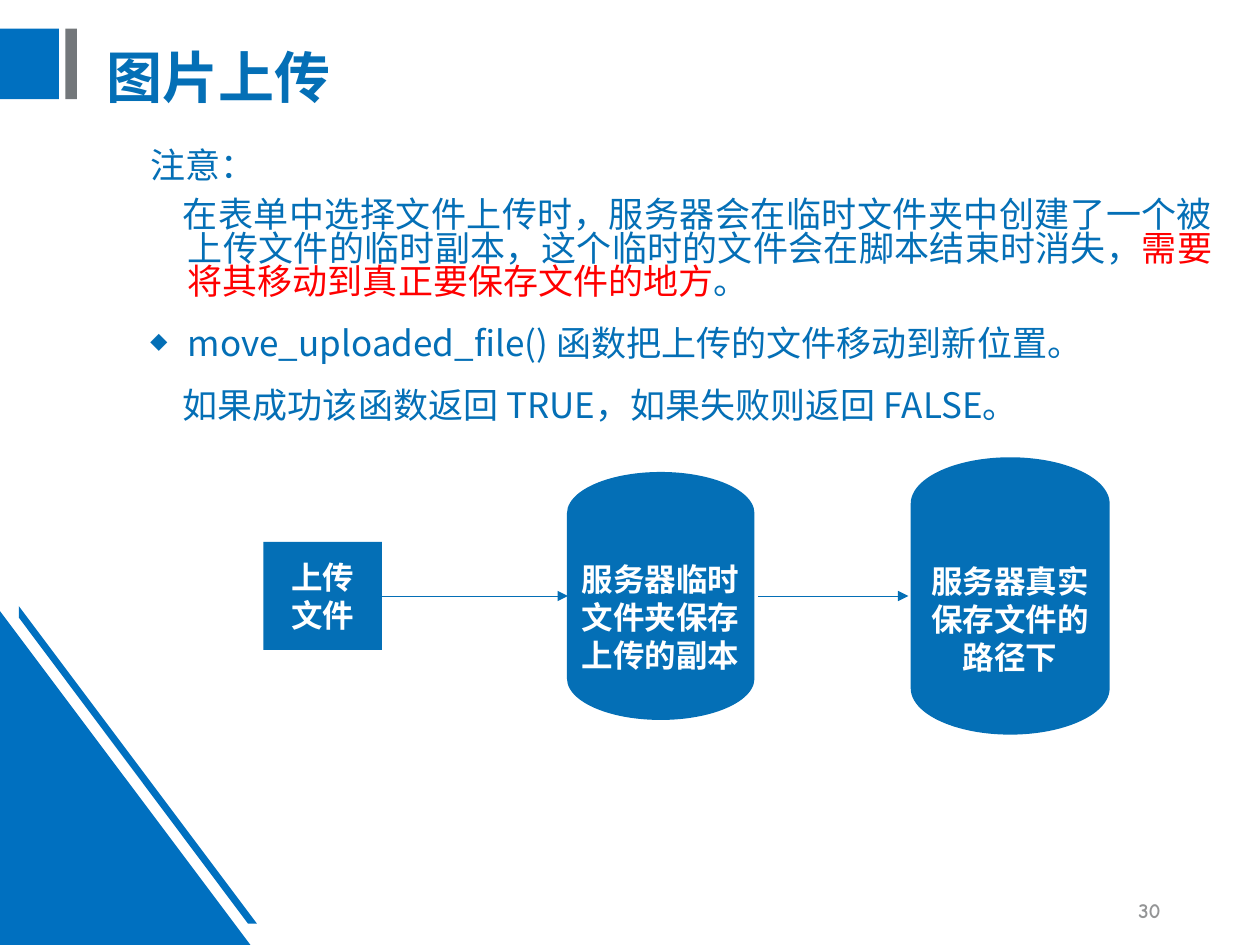
from lxml import etree
from pptx import Presentation
from pptx.dml.color import RGBColor
from pptx.enum.shapes import MSO_CONNECTOR, MSO_SHAPE
from pptx.enum.text import MSO_ANCHOR, MSO_AUTO_SIZE, PP_ALIGN
from pptx.oxml.ns import qn
from pptx.util import Cm, Pt

COLORS = {
    "band": "0070C0",
    "gray": "73777A",
    "blue": "046FB6",
    "red": "FF0000",
    "number": "949596",
    "white": "FFFFFF",
}
CJK = "Noto Sans CJK SC"


def rgb(name):
    return RGBColor.from_string(COLORS[name])


def place(shape, box):
    shape.left, shape.top, shape.width, shape.height = (Cm(v) for v in box)


def paint(shape, color):
    shape.shadow.inherit = False
    shape.fill.solid()
    shape.fill.fore_color.rgb = rgb(color)
    shape.line.fill.background()


def add_block(slide, kind, box, color):
    block = slide.shapes.add_shape(kind, *(Cm(v) for v in box))
    paint(block, color)
    return block


def style(paragraph, size, color, face=CJK, bold=False):
    font = paragraph.font
    font.size, font.bold, font.name = Pt(size), bold, face
    font.color.rgb = rgb(color)
    defaults = paragraph._p.pPr.find(qn("a:defRPr"))
    etree.SubElement(defaults, qn("a:ea"), typeface=CJK)


def set_bullet(paragraph, char=None):
    """Put the bullet settings just ahead of the paragraph's font defaults."""
    defaults = paragraph._p.pPr.find(qn("a:defRPr"))

    def add(tag, **attributes):
        element = etree.Element(qn(tag), **attributes)
        defaults.addprevious(element)
        return element

    if char is None:
        add("a:buNone")
        return
    etree.SubElement(add("a:buClr"), qn("a:srgbClr"), val=COLORS["blue"])
    add("a:buSzPct", val="50000")
    add("a:buFont", typeface=CJK)
    add("a:buChar", char=char)


def draw_header(slide, box):
    left, top, width, height = box
    add_block(slide, MSO_SHAPE.RECTANGLE, (left, top, 1.19, height), "band")
    add_block(slide, MSO_SHAPE.RECTANGLE, (left + 1.32, top, 0.23, height), "gray")

    title = slide.shapes.title
    place(title, (left + 1.9, top - 0.15, width - 1.9, 2.36))
    title.text_frame.text = "图片上传"
    title.text_frame.auto_size = MSO_AUTO_SIZE.NONE
    title.text_frame.vertical_anchor = MSO_ANCHOR.MIDDLE
    heading = title.text_frame.paragraphs[0]
    heading.alignment, heading.line_spacing = PP_ALIGN.LEFT, 0.9
    style(heading, 32, "blue", bold=True)


def draw_corner(slide, box):
    left, top, width, height = box
    add_block(slide, MSO_SHAPE.RIGHT_TRIANGLE, box, "band")
    # Slanted stripe beside the triangle
    outline = [(0.38, -0.1), (width + 0.13, height - 0.43),
               (width - 0.05, height - 0.43), (0.38, 0.13)]
    points = [(Cm(left + x), Cm(top + y)) for x, y in outline]
    builder = slide.shapes.build_freeform(*points[0])
    builder.add_line_segments(points[1:], close=True)
    paint(builder.convert_to_shape(), "band")


def draw_notes(slide, box):
    body = slide.placeholders[1]
    place(body, box)
    frame = body.text_frame
    frame.auto_size = MSO_AUTO_SIZE.NONE
    frame.vertical_anchor = MSO_ANCHOR.TOP

    # Runs with their colours, first-line indent in cm, line spacing, bullet
    notes = [
        ([("注意：", "blue")], -0.76, 0.8, None),
        ([("在表单中选择文件上传时，服务器会在临时文件夹中创建了一个被"
           "上传文件的临时副本，这个临时的文件会在脚本结束时消失，", "blue"),
          ("需要将其移动到真正要保存文件的地方", "red"),
          ("。", "blue")], -0.1, 0.8, None),
        ([("move_uploaded_file() 函数把上传的文件移动到新位置。", "blue")],
         -0.76, 1.1, "◆"),
        ([("如果成功该函数返回 TRUE，如果失败则返回 FALSE。", "blue")],
         -0.1, 1.1, None),
    ]
    for i, (runs, indent, spacing, bullet) in enumerate(notes):
        note = frame.add_paragraph() if i else frame.paragraphs[0]
        note.alignment = PP_ALIGN.JUSTIFY
        note.line_spacing, note.space_before = spacing, Pt(9)
        style(note, 20, "blue")
        set_bullet(note, bullet)
        note._p.pPr.set("marL", str(Cm(0.76)))
        note._p.pPr.set("indent", str(Cm(indent)))
        for text, color in runs:
            run = note.add_run()
            run.text = text
            if color != "blue":
                run.font.color.rgb = rgb(color)


def add_arrow(slide, start, end, y):
    arrow = slide.shapes.add_connector(
        MSO_CONNECTOR.STRAIGHT, Cm(start), Cm(y), Cm(end), Cm(y))
    arrow.line.color.rgb = rgb("blue")
    arrow.line.width = Pt(0.5)
    etree.SubElement(arrow.line._get_or_add_ln(), qn("a:tailEnd"), type="triangle")
    etree.SubElement(arrow._element.spPr, qn("a:effectLst"))
    return arrow


def draw_flow(slide, box):
    left, top, width, height = box
    middle = top + height / 2
    disk = MSO_SHAPE.FLOWCHART_MAGNETIC_DISK
    # Every step is centred on the same horizontal axis
    steps = [
        (MSO_SHAPE.RECTANGLE, 0, 2.39, 2.18, "上传文件"),
        (disk, 6.12, 3.78, 5.0, "服务器临时文件夹保存上传的副本"),
        (disk, width - 4.01, 4.01, height, "服务器真实保存文件的路径下"),
    ]
    blocks = []
    for kind, x, w, h, text in steps:
        block = add_block(slide, kind, (left + x, middle - h / 2, w, h), "blue")
        block.text_frame.text = text
        block.text_frame.word_wrap = True
        block.text_frame.vertical_anchor = MSO_ANCHOR.MIDDLE
        label = block.text_frame.paragraphs[0]
        label.alignment = PP_ALIGN.CENTER
        style(label, 18, "white", face="Calibri", bold=True)
        blocks.append(block)

    upload = add_arrow(slide, left + 2.39, left + 6.14, middle)
    upload.begin_connect(blocks[0], 3)
    add_arrow(slide, left + 9.98, left + 13.0, middle)


def draw_page_number(slide, box):
    number = slide.shapes.add_textbox(*(Cm(v) for v in box))
    frame = number.text_frame
    frame.text = "30"
    frame.word_wrap = True
    frame.vertical_anchor = MSO_ANCHOR.MIDDLE
    frame.paragraphs[0].alignment = PP_ALIGN.RIGHT
    style(frame.paragraphs[0], 12, "number", face="Comic Neue", bold=True)


def main():
    deck = Presentation()
    deck.slide_width, deck.slide_height = Cm(25.4), Cm(19.05)
    slide = deck.slides.add_slide(deck.slide_layouts[1])
    draw_header(slide, (0, 0.58, 20.98, 1.42))
    draw_corner(slide, (0, 12.32, 5.05, 6.73))
    draw_notes(slide, (2.77, 2.92, 21.92, 16.13))
    draw_flow(slide, (5.31, 9.22, 17.06, 5.59))
    draw_page_number(slide, (17.93, 17.83, 5.72, 1.02))
    deck.save("out.pptx")


if __name__ == "__main__":
    main()
